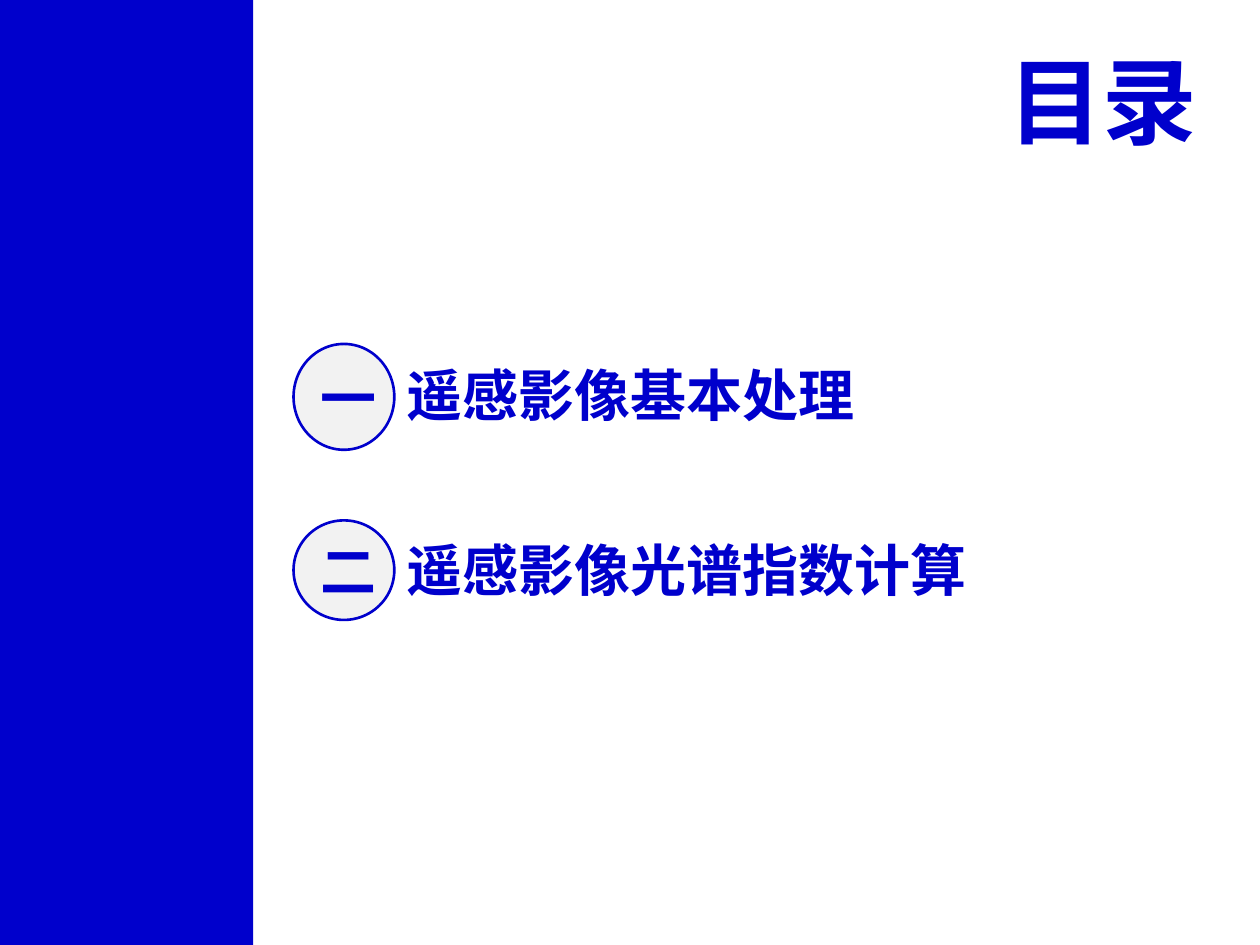
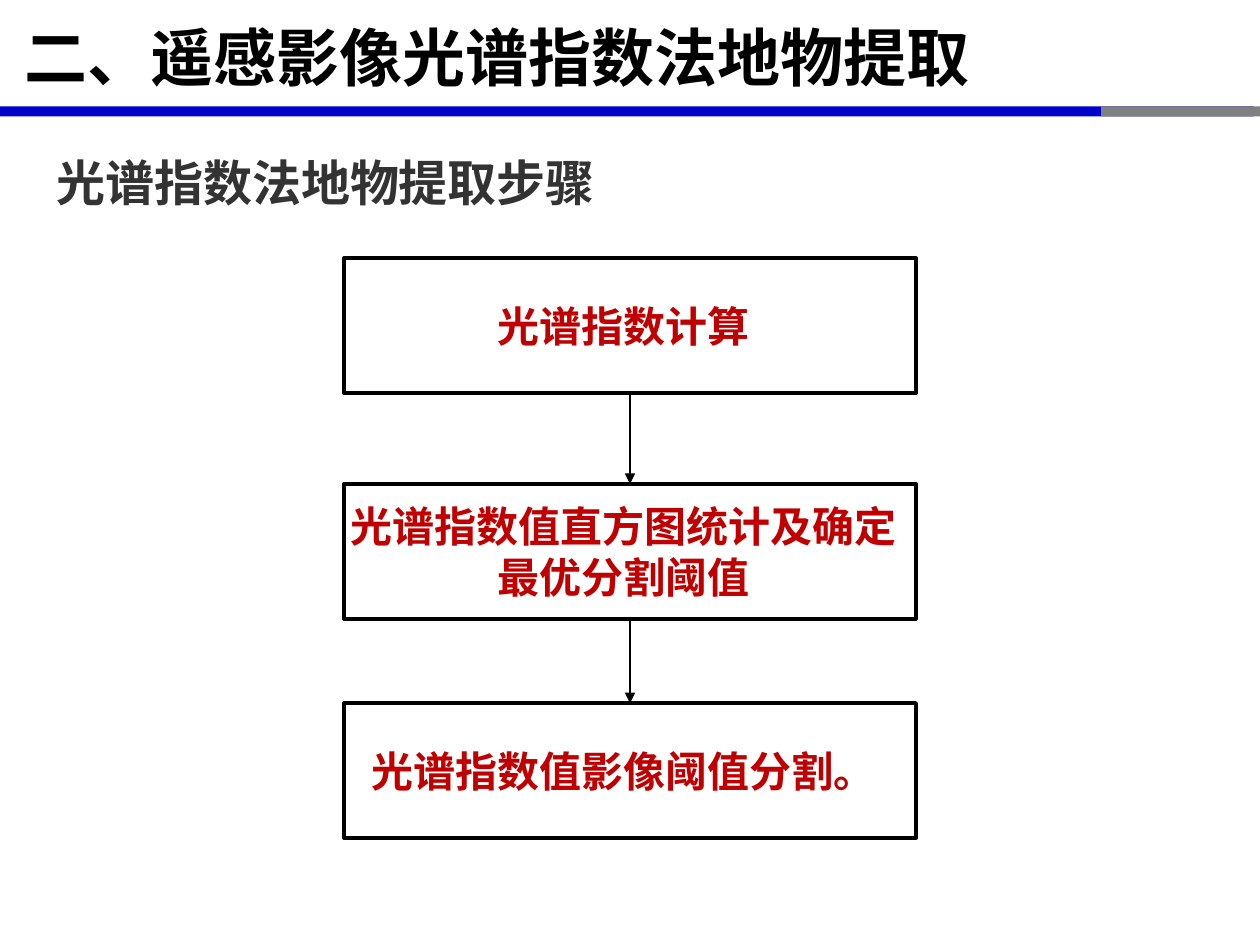
from lxml.etree import SubElement
from pptx import Presentation
from pptx.dml.color import RGBColor
from pptx.enum.shapes import MSO_CONNECTOR, MSO_SHAPE
from pptx.enum.text import MSO_ANCHOR, PP_ALIGN
from pptx.oxml.ns import qn
from pptx.util import Inches, Pt

COLORS = {
    "blue": "0000CC",
    "gray": "808080",
    "pale": "F2F2F2",
    "black": "000000",
    "dark": "333333",
    "red": "C00000",
}
CJK_FONT = "Noto Sans CJK SC"

deck = Presentation()
deck.slide_width = Inches(10)
deck.slide_height = Inches(7.5)
column = deck.slide_width / 100
row = deck.slide_height / 75
blank = deck.slide_layouts[6]


def add_box(page, left, top, width, height, kind=None, fill=None, line=None, weight=1.5):
    """Add a preset shape, or a text box when no kind is given; lengths in columns and rows."""
    area = [int(left * column), int(top * row), int(width * column), int(height * row)]
    if kind is None:
        return page.shapes.add_textbox(*area)
    box = page.shapes.add_shape(kind, *area)
    box.shadow.inherit = False
    if fill:
        box.fill.solid()
        box.fill.fore_color.rgb = RGBColor.from_string(COLORS[fill])
    else:
        box.fill.background()
    if line:
        box.line.color.rgb = RGBColor.from_string(COLORS[line])
        box.line.width = Pt(weight)
    else:
        box.line.fill.background()
    return box


def write(box, text, size, color, align=PP_ALIGN.LEFT, anchor=MSO_ANCHOR.MIDDLE, font=CJK_FONT):
    """Put one bold run into the box and return its paragraph."""
    box.text_frame.word_wrap = True
    box.text_frame.vertical_anchor = anchor
    para = box.text_frame.paragraphs[0]
    para.alignment = align
    span = para.add_run()
    span.text = text
    span.font.size = Pt(size)
    span.font.bold = True
    span.font.name = font
    span.font.color.rgb = RGBColor.from_string(COLORS[color])
    SubElement(span.font._element, qn("a:ea"), typeface=CJK_FONT)
    return para


# Slide 1: contents
page = deck.slides.add_slide(blank)
add_box(page, 0, 0, 20.1, 75, MSO_SHAPE.RECTANGLE, "blue")
heading = add_box(page, 78.4, 2.9, 17.6, 10.1)
write(heading, "目录", 54, "blue", PP_ALIGN.RIGHT, MSO_ANCHOR.TOP, "Arial")
heading.text_frame.word_wrap = False

chapters = [
    ("一", "遥感影像基本处理", 27.3, 8.4, 28.1),
    ("二", "遥感影像光谱指数计算", 41.3, 7.9, 42),
]
for number, name, circle_top, circle_height, name_top in chapters:
    circle = add_box(page, 23.3, circle_top, 8, circle_height, MSO_SHAPE.OVAL, "pale", "blue")
    write(circle, number, 32, "blue", PP_ALIGN.CENTER)
    label = add_box(page, 31.3, name_top, 64.7, 6.4)
    write(label, name, 32, "blue", font="Arial")

# Slide 2: extraction steps
page = deck.slides.add_slide(blank)
for left, width, color in [(0, 99.5, "blue"), (87.4, 12.6, "gray")]:
    add_box(page, left, 8.45, width, 0.8, MSO_SHAPE.RECTANGLE, color)

title = add_box(page, 0, 0.1, 98.6, 8.7)
para = write(title, "二、遥感影像光谱指数法地物提取", 36, "black")
para._p.get_or_add_pPr().set("indent", str(Inches(0.1)))

subtitle = add_box(page, 3.5, 9.3, 93.1, 7.2)
para = write(subtitle, "光谱指数法地物提取步骤", 28, "dark", PP_ALIGN.JUSTIFY, MSO_ANCHOR.TOP)
para.line_spacing = 1.5

steps = [
    ("光谱指数计算", 20.5),
    ("光谱指数值直方图统计及确定最优分割阈值", 38.4),
    ("光谱指数值影像阈值分割。", 55.8),
]
step_boxes = []
for text, top in steps:
    box = add_box(page, 27.3, top, 45.4, 10.7, MSO_SHAPE.RECTANGLE, line="black", weight=2.25)
    box.text_frame.margin_left = 0
    write(box, text, 24, "red", PP_ALIGN.CENTER)
    step_boxes.append(box)

for upper, lower in zip(step_boxes, step_boxes[1:]):
    arrow = page.shapes.add_connector(MSO_CONNECTOR.STRAIGHT, 0, 0, 0, 0)
    arrow.begin_connect(upper, 2)
    arrow.end_connect(lower, 0)
    arrow.line.color.rgb = RGBColor.from_string(COLORS["black"])
    arrow.line.width = Pt(1.5)
    SubElement(arrow.line._get_or_add_ln(), qn("a:tailEnd"), type="triangle")
    SubElement(arrow._element.spPr, qn("a:effectLst"))

deck.save("out.pptx")
